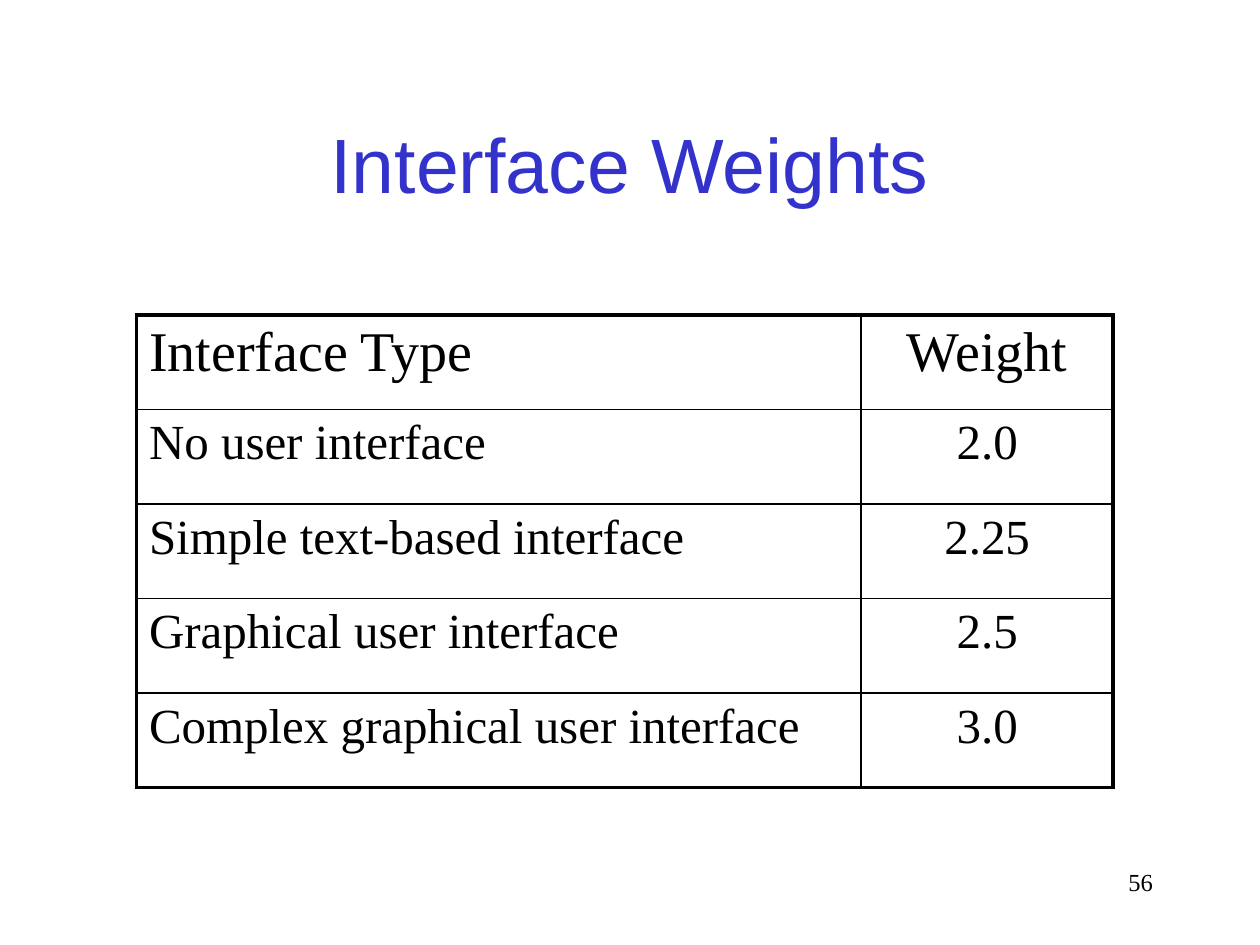
from lxml.etree import SubElement
from pptx import Presentation
from pptx.dml.color import RGBColor
from pptx.enum.text import MSO_ANCHOR, PP_ALIGN
from pptx.oxml.ns import qn
from pptx.util import Cm, Pt

BLUE = RGBColor(0x33, 0x33, 0xCC)
BLACK = RGBColor(0, 0, 0)
THICK, THIN = Pt(2.25), Pt(1)
ROWS = [
    ("Interface Type", "Weight"),
    ("No user interface", "2.0"),
    ("Simple text-based interface", "2.25"),
    ("Graphical user interface", "2.5"),
    ("Complex graphical user interface", "3.0"),
]
WIDTHS = (14.61, 5.08)
ALIGNS = (PP_ALIGN.LEFT, PP_ALIGN.CENTER)


class Deck:
    sans, serif = "Arial", "Times New Roman"

    def __init__(self):
        self.show = Presentation()
        self.show.slide_width, self.show.slide_height = Cm(25.4), Cm(19.05)
        self.slide = self.show.slides.add_slide(self.show.slide_layouts[6])

    def add_run(self, frame, text, size, align, font=serif, color=BLACK):
        para = frame.paragraphs[0]
        para.alignment = align
        run = para.add_run()
        run.text = text
        run.font.name, run.font.size, run.font.bold = font, Pt(size), False
        run.font.color.rgb = color

    def text(self, box, text, size, align, anchor=MSO_ANCHOR.TOP, **look):
        frame = self.slide.shapes.add_textbox(*map(Cm, box)).text_frame
        frame.word_wrap = True
        frame.vertical_anchor = anchor
        self.add_run(frame, text, size, align, **look)

    def edge(self, cell, side, width):
        """Draw one cell border; side is L, R, T or B."""
        line = SubElement(cell._tc.get_or_add_tcPr(), qn("a:ln" + side), w=str(width))
        fill = SubElement(line, qn("a:solidFill"))
        SubElement(fill, qn("a:srgbClr"), val=str(BLACK))

    def table(self, left, top, widths, height, rows, aligns):
        last, end = len(rows) - 1, len(widths) - 1
        grid = self.slide.shapes.add_table(
            len(rows), len(widths), Cm(left), Cm(top),
            Cm(sum(widths)), Cm(height * len(rows))).table
        grid.first_row = grid.horz_banding = False
        for col, width in zip(grid.columns, widths):
            col.width = Cm(width)
        for y, row in enumerate(rows):
            for x, text in enumerate(row):
                cell = grid.cell(y, x)
                outer = {"L": x == 0, "R": x == end, "T": y == 0, "B": y == last}
                for side, thick in outer.items():
                    self.edge(cell, side, THICK if thick else THIN)
                cell.fill.background()
                self.add_run(cell.text_frame, text, 28 if y else 32, aligns[x])


def main():
    deck = Deck()
    deck.text((1.9, 1.7, 21.59, 3.18), "Interface Weights", 44, PP_ALIGN.CENTER,
              MSO_ANCHOR.MIDDLE, font=deck.sans, color=BLUE)
    deck.table(2.75, 6.35, WIDTHS, 1.905, ROWS, ALIGNS)
    deck.text((18.21, 17.35, 5.28, 1.27), "56", 14, PP_ALIGN.RIGHT)
    deck.show.save("out.pptx")


if __name__ == "__main__":
    main()
